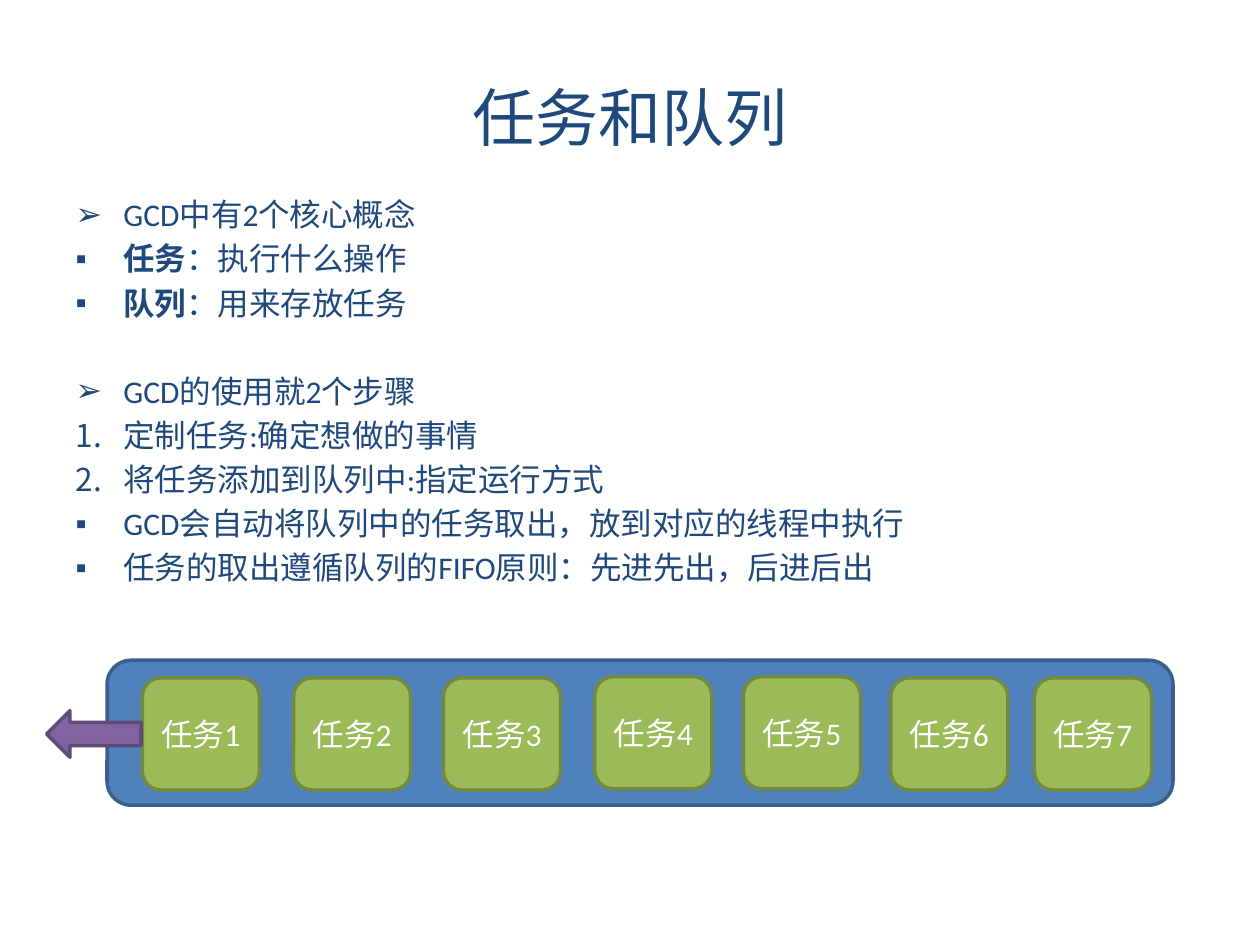
"""Build a slide on tasks and queues."""
import dataclasses
import typing

import lxml.etree
import pptx
import pptx.dml.color
import pptx.enum.shapes
import pptx.enum.text
import pptx.oxml.ns
import pptx.util

Inches = pptx.util.Inches
Pt = pptx.util.Pt
RGBColor = pptx.dml.color.RGBColor
Kind = pptx.enum.shapes.MSO_SHAPE
Align = pptx.enum.text.PP_ALIGN

NAVY = RGBColor(0x1F, 0x49, 0x7D)
WHITE = RGBColor(0xFF, 0xFF, 0xFF)
BLUE = RGBColor(0x4F, 0x81, 0xBD)
STEEL = RGBColor(0x3A, 0x5F, 0x8C)
GREEN = RGBColor(0x9B, 0xBB, 0x59)
OLIVE = RGBColor(0x73, 0x8A, 0x42)
PURPLE = RGBColor(0x80, 0x64, 0xA2)
PLUM = RGBColor(0x5F, 0x4A, 0x78)
FONT = "Calibri"
ARROW, SQUARE, NUMBER = "➢", "▪", "1."


@dataclasses.dataclass
class Item:
    mark: str
    text: str
    bold: str = ""
    gap: float = 0


@dataclasses.dataclass
class Block:
    kind: Kind
    left: float
    top: float
    width: float
    height: float
    fill: RGBColor
    line: RGBColor
    text: str = ""


ITEMS = [
    Item(ARROW, "GCD中有2个核心概念"),
    Item(SQUARE, ":执行什么操作".replace(":", "："), "任务"),
    Item(SQUARE, "：用来存放任务", "队列"),
    Item(ARROW, "GCD的使用就2个步骤", gap=29),
    Item(NUMBER, "定制任务:确定想做的事情"),
    Item(NUMBER, "将任务添加到队列中:指定运行方式"),
    Item(SQUARE, "GCD会自动将队列中的任务取出，放到对应的线程中执行"),
    Item(SQUARE, "任务的取出遵循队列的FIFO原则：先进先出，后进后出"),
]
LEFTS = [1.13, 2.33, 3.52, 4.72, 5.9, 7.07, 8.21]
BLOCKS = [
    Block(Kind.ROUNDED_RECTANGLE, 0.85, 5.24, 8.46, 1.15, BLUE, STEEL),
    *(Block(Kind.ROUNDED_RECTANGLE, left, 5.37 if num in (4, 5) else 5.38,
            0.93, 0.89, GREEN, OLIVE, f"任务{num}")
      for num, left in enumerate(LEFTS, 1)),
    Block(Kind.LEFT_ARROW, 0.37, 5.64, 0.75, 0.37, PURPLE, PLUM),
]


def place(shape: typing.Any, left: float, top: float, width: float, height: float) -> None:
    """Move and size a shape in inches."""
    shape.left, shape.top = Inches(left), Inches(top)
    shape.width, shape.height = Inches(width), Inches(height)


def write(para: typing.Any, text: str, size: float, color: RGBColor, bold: bool = False) -> None:
    """Add one formatted run."""
    run = para.add_run()
    run.text = text
    run.font.name, run.font.size = FONT, Pt(size)
    run.font.bold = bold
    run.font.color.rgb = color


def mark(para: typing.Any, sign: str) -> None:
    """Set the hanging indent and the bullet."""
    props = para._p.get_or_add_pPr()
    props.set("marL", str(Inches(0.38)))
    props.set("indent", str(-Inches(0.38)))
    name = pptx.oxml.ns.qn
    font = lxml.etree.SubElement(props, name("a:buFont"))
    font.set("typeface", FONT if sign == NUMBER else "Arial")
    if sign == NUMBER:
        lxml.etree.SubElement(props, name("a:buAutoNum")).set("type", "arabicPeriod")
    else:
        lxml.etree.SubElement(props, name("a:buChar")).set("char", sign)


def listing(body: typing.Any, items: list[Item]) -> None:
    """Fill the body with list items."""
    frame = body.text_frame
    for pos, item in enumerate(items):
        para = frame.add_paragraph() if pos else frame.paragraphs[0]
        if item.gap:
            para.space_before = Pt(item.gap)
        mark(para, item.mark)
        if item.bold:
            write(para, item.bold, 18, NAVY, True)
        write(para, item.text, 18, NAVY)


def draw(slide: typing.Any, block: Block) -> None:
    """Draw one block with its label."""
    shape = slide.shapes.add_shape(
        block.kind, Inches(block.left), Inches(block.top),
        Inches(block.width), Inches(block.height))
    shape.shadow.inherit = False
    shape.fill.solid()
    shape.fill.fore_color.rgb = block.fill
    shape.line.color.rgb = block.line
    shape.line.width = Pt(2)
    if block.text:
        frame = shape.text_frame
        frame.word_wrap = True
        frame.vertical_anchor = pptx.enum.text.MSO_ANCHOR.MIDDLE
        para = frame.paragraphs[0]
        para.alignment = Align.CENTER
        write(para, block.text, 18, WHITE)


def main() -> None:
    """Build and save the deck."""
    deck = pptx.Presentation()
    deck.slide_width, deck.slide_height = Inches(10), Inches(7.5)
    slide = deck.slides.add_slide(deck.slide_layouts[1])
    title, body = slide.shapes.title, slide.placeholders[1]
    place(title, 0.5, 0.3, 9, 1.25)
    head = title.text_frame.paragraphs[0]
    head.alignment = Align.CENTER
    write(head, "任务和队列", 36, NAVY)
    place(body, 0.5, 1.5, 9, 5.35)
    listing(body, ITEMS)
    for block in BLOCKS:
        draw(slide, block)
    deck.save("out.pptx")


main()
